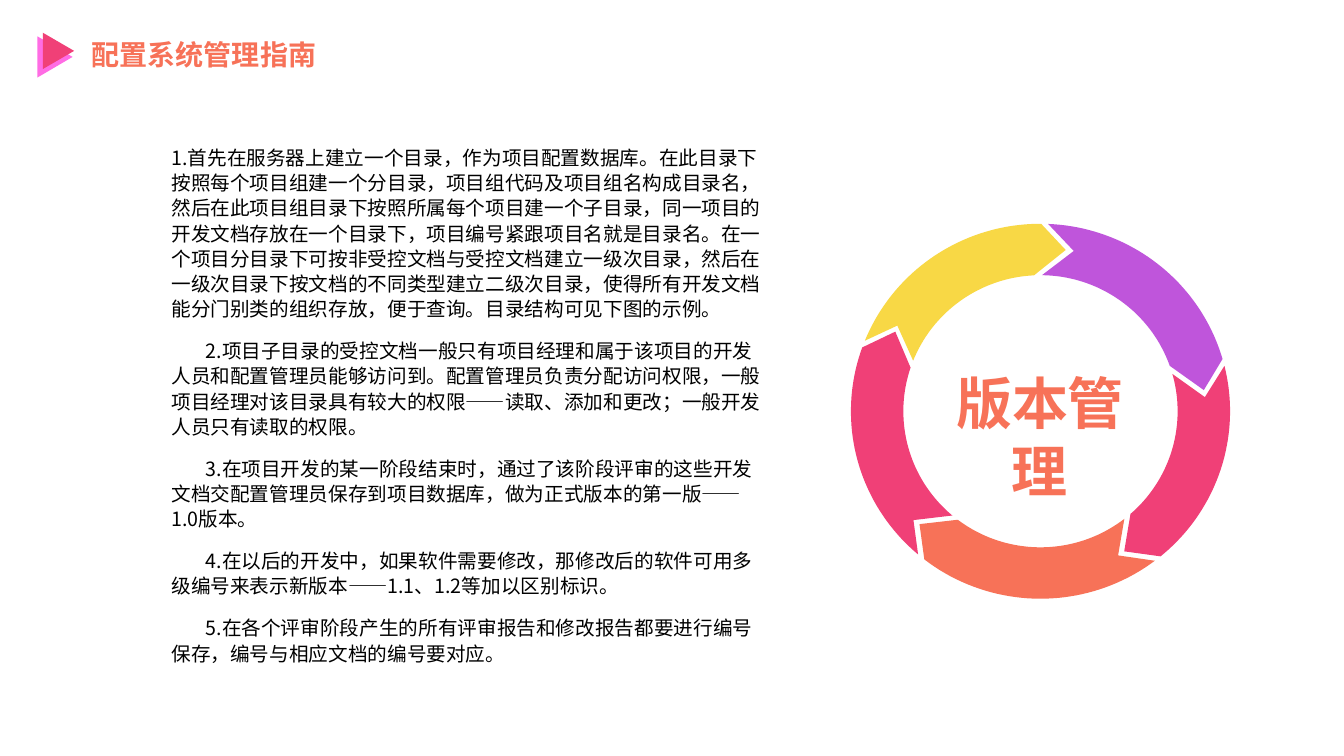
"""Build the version management slide with its five-arrow ring."""
from dataclasses import dataclass
from math import cos, radians, sin

from lxml.etree import SubElement
from pptx import Presentation
from pptx.dml.color import RGBColor
from pptx.enum.shapes import MSO_SHAPE as Shape
from pptx.enum.text import MSO_ANCHOR as Anchor, MSO_AUTO_SIZE as AutoSize, PP_ALIGN as Align
from pptx.oxml.ns import qn
from pptx.util import Inches, Pt

FONT = "Noto Sans CJK SC"
COLORS = {
    "orange": "F77258",
    "pink": "F04077",
    "magenta": "FF6CE4",
    "yellow": "F8D845",
    "purple": "BF55DB",
    "black": "000000",
}
CENTER = (10.32, 4.08)
OUTER = (1.88, 1.86)
INNER = (1.36, 1.35)
ARC_STEPS = 40
INDENT = Inches(0.34)

Point = tuple[float, float]
Box = tuple[float, float, float, float]


@dataclass
class Marker:
    """A title triangle pointing right."""
    box: Box
    color: str


@dataclass
class RingArrow:
    """A ring segment with arc angles in degrees, a tip and a notch."""
    color: str
    inner: Point
    tip: Point
    outer: Point
    notch: Point


MARKERS = [
    Marker((0.34, 0.39, 0.41, 0.35), "magenta"),
    Marker((0.4, 0.35, 0.36, 0.31), "pink"),
]
RING = [
    RingArrow("yellow", (201.8, 267.3), (10.57, 2.48), (270.2, 202.1), (8.9, 3.23)),
    RingArrow("purple", (270.6, 340.5), (11.94, 3.87), (343.8, 272.3), (10.65, 2.49)),
    RingArrow("pink", (344.1, 409), (11.15, 5.47), (410.7, 346), (11.95, 3.94)),
    RingArrow("orange", (52.3, 127.1), (9.12, 5.2), (127.8, 52.9), (11.09, 5.51)),
    RingArrow("pink", (130, 198.7), (8.88, 3.29), (199.9, 130.2), (9.06, 5.16)),
]
GUIDELINES = [
    "1.首先在服务器上建立一个目录，作为项目配置数据库。在此目录下按照每个项目组建一个分目录，"
    "项目组代码及项目组名构成目录名，然后在此项目组目录下按照所属每个项目建一个子目录，"
    "同一项目的开发文档存放在一个目录下，项目编号紧跟项目名就是目录名。"
    "在一个项目分目录下可按非受控文档与受控文档建立一级次目录，"
    "然后在一级次目录下按文档的不同类型建立二级次目录，"
    "使得所有开发文档能分门别类的组织存放，便于查询。目录结构可见下图的示例。",
    "2.项目子目录的受控文档一般只有项目经理和属于该项目的开发人员和配置管理员能够访问到。"
    "配置管理员负责分配访问权限，一般项目经理对该目录具有较大的权限——读取、添加和更改；"
    "一般开发人员只有读取的权限。",
    "3.在项目开发的某一阶段结束时，通过了该阶段评审的这些开发文档交配置管理员保存到项目数据库，"
    "做为正式版本的第一版——1.0版本。",
    "4.在以后的开发中，如果软件需要修改，那修改后的软件可用多级编号来表示新版本——1.1、1.2等加以区别标识。",
    "5.在各个评审阶段产生的所有评审报告和修改报告都要进行编号保存，编号与相应文档的编号要对应。",
]


def place(sp, box: Box) -> None:
    """Move and size a shape in inches."""
    sp.left, sp.top, sp.width, sp.height = map(Inches, box)


def paint(sp, color: str) -> None:
    """Give a shape a plain fill without line or shadow."""
    sp.fill.solid()
    sp.fill.fore_color.rgb = RGBColor.from_string(COLORS[color])
    sp.line.fill.background()
    sp.shadow.inherit = False


def setup_frame(sp):
    """Return a wrapping text frame anchored at the top."""
    tf = sp.text_frame
    tf.word_wrap = True
    tf.auto_size = AutoSize.SHAPE_TO_FIT_TEXT
    tf.vertical_anchor = Anchor.TOP
    return tf


def add_run(p, text: str, size: int, color: str, bold: bool = False) -> None:
    """Add a formatted run in the slide font."""
    r = p.add_run()
    r.text = text
    r.font.size = Pt(size)
    r.font.bold = bold
    r.font.name = FONT
    r.font.color.rgb = RGBColor.from_string(COLORS[color])
    rPr = r.font._element
    rPr.set("lang", "zh-CN")
    SubElement(rPr, qn("a:ea")).set("typeface", FONT)


def arc(radii: Point, angles: Point) -> list[Point]:
    """Return points along an elliptical arc of the ring."""
    start, end = angles
    steps = [radians(start + (end - start) * i / ARC_STEPS) for i in range(ARC_STEPS + 1)]
    return [(CENTER[0] + radii[0] * cos(a), CENTER[1] + radii[1] * sin(a)) for a in steps]


def add_ring_arrow(shapes, arrow: RingArrow) -> None:
    """Draw one curved arrow of the ring."""
    points = [*arc(INNER, arrow.inner), arrow.tip, *arc(OUTER, arrow.outer), arrow.notch]
    outline = [(Inches(x), Inches(y)) for x, y in points]
    builder = shapes.build_freeform(*outline[0])
    builder.add_line_segments(outline[1:], close=True)
    paint(builder.convert_to_shape(), arrow.color)


def add_marker(shapes, marker: Marker) -> None:
    """Draw one title triangle."""
    sp = shapes.add_shape(Shape.ISOSCELES_TRIANGLE, *map(Inches, marker.box))
    sp.rotation = 90
    paint(sp, marker.color)


def fill_guidelines(sp) -> None:
    """Write the numbered guidelines with first-line indents."""
    tf = setup_frame(sp)
    tf.margin_right = Inches(0.65)
    for i, text in enumerate(GUIDELINES):
        p = tf.add_paragraph() if i else tf.paragraphs[0]
        p.alignment = Align.LEFT
        p.line_spacing = Pt(18)
        p.space_before = p.space_after = Pt(6)
        pPr = p._p.get_or_add_pPr()
        pPr.set("marL", "0")
        pPr.set("indent", str(INDENT if i else 0))
        SubElement(pPr, qn("a:buNone"))
        add_run(p, text, 14, "black")


def main() -> None:
    """Assemble and save the slide."""
    prs = Presentation()
    prs.slide_width, prs.slide_height = Inches(13.33), Inches(7.5)
    s = prs.slides.add_slide(prs.slide_layouts[1])
    title, body = s.placeholders

    place(title, (0.81, 0.32, 2.8, 0.44))
    p = setup_frame(title).paragraphs[0]
    p.alignment = Align.LEFT
    add_run(p, "配置系统管理指南", 20, "orange", bold=True)

    place(body, (1.6, 1.38, 6.67, 5.3))
    fill_guidelines(body)

    for marker in MARKERS:
        add_marker(s.shapes, marker)
    for arrow in RING:
        add_ring_arrow(s.shapes, arrow)

    label = s.shapes.add_textbox(*map(Inches, (9.28, 3.61, 2.07, 1.45)))
    p = setup_frame(label).paragraphs[0]
    p.alignment = Align.CENTER
    add_run(p, "版本管理", 40, "orange", bold=True)

    prs.save("out.pptx")


main()
